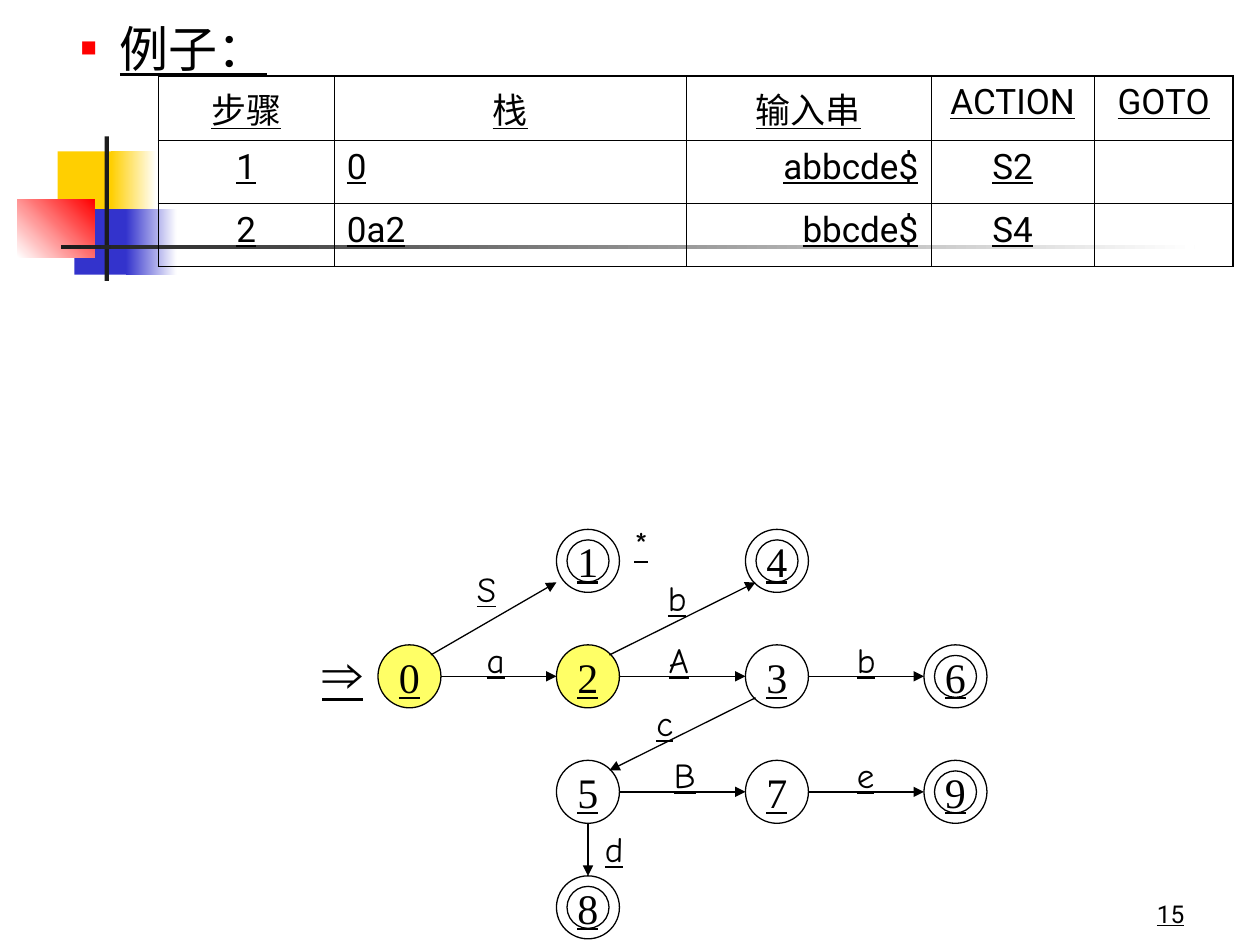
from lxml.etree import SubElement
from pptx import Presentation
from pptx.dml.color import RGBColor
from pptx.enum.shapes import MSO_CONNECTOR, MSO_SHAPE
from pptx.enum.text import MSO_ANCHOR, MSO_AUTO_SIZE, PP_ALIGN
from pptx.oxml.ns import qn
from pptx.util import Pt

BLACK = RGBColor(0, 0, 0)
WHITE = RGBColor(255, 255, 255)
DARK = RGBColor(0x1C, 0x1C, 0x1C)
GOLD = RGBColor(0xFF, 0xCF, 0x01)
BLUE = RGBColor(0x33, 0x33, 0xCC)
RED = RGBColor(255, 0, 0)
YELLOW = RGBColor(0xFF, 0xFF, 0x66)
LEFT, CENTER, RIGHT = PP_ALIGN.LEFT, PP_ALIGN.CENTER, PP_ALIGN.RIGHT

# Background bars: left, top, width, height, colours, gradient angle
DECOR = [
    (33, 86.5, 34.5, 37.5, [GOLD], 0),
    (63.5, 86.5, 26, 37.5, [GOLD, WHITE], 0),
    (42.5, 119.5, 33, 37.5, [BLUE], 0),
    (72, 119.5, 29, 37.5, [BLUE, WHITE], 0),
    (10, 114, 44, 33, [WHITE, RED], 45),
    (59.75, 78, 2.5, 82.5, [DARK], 0),
    (34.75, 140, 648, 2.5, [DARK, WHITE], 0),
]

# Parse table
ROWS = [
    ("步骤", "栈", "输入串", "ACTION", "GOTO"),
    ("1", "0", "abbcde$", "S2", ""),
    ("2", "0a2", "bbcde$", "S4", ""),
]
COL_WIDTHS = (100.5, 201, 140, 93.5, 79)
ROW_HEIGHTS = (36.5, 36, 36)
ROW_HEIGHTS = (36.75, 36, 36)
BODY_ALIGN = (CENTER, LEFT, RIGHT, CENTER, CENTER)

# Automaton: state -> (grid column, grid row)
COL_X = (234, 336, 444, 546)
ROW_Y = [320.5 + 66 * i for i in range(4)]
RADIUS = 18
STATES = {"0": (0, 1), "1": (1, 0), "4": (2, 0), "2": (1, 1), "3": (2, 1),
          "5": (1, 2), "7": (2, 2), "6": (3, 1), "9": (3, 2), "8": (1, 3)}
ACCEPTING = "14698"
VISITED = "02"

# Points on a state circle, in units of its radius
E, W, N, S = (1, 0), (-1, 0), (0, -1), (0, 1)
NE, SW = (0.68, -0.68), (-0.68, 0.68)
EDGES = [("0", E, "2", W), ("2", E, "3", W), ("3", E, "6", W),
         ("5", E, "7", W), ("7", E, "9", W), ("0", NE, "1", (-1, 0.68)),
         ("2", NE, "4", SW), ("3", SW, "5", NE), ("5", S, "8", N)]
LABELS = [("S", 265.5, 320.5), ("a", 271, 361.5), ("b", 374.5, 326),
          ("A", 375, 361.5), ("b", 482.5, 361.5), ("c", 368, 397.5),
          ("B", 378, 427), ("e", 482.5, 427), ("d", 338.5, 469.5),
          ("*", 355.5, 295)]


def set_text(tf, text, size, font, align=LEFT):
    tf.text = text
    p = tf.paragraphs[0]
    p.alignment = align
    for r in p.runs:
        r.font.size = Pt(size)
        r.font.name = font
        r.font.underline = True
        r.font.color.rgb = BLACK
    return p


def add_text(s, text, x, y, w, h, size, font, align=LEFT, wrap=False):
    tf = s.shapes.add_textbox(Pt(x), Pt(y), Pt(w), Pt(h)).text_frame
    tf.word_wrap = wrap
    tf.auto_size = MSO_AUTO_SIZE.NONE if wrap else MSO_AUTO_SIZE.SHAPE_TO_FIT_TEXT
    set_text(tf, text, size, font, align)
    return tf


def add_bar(s, x, y, w, h, colors, angle):
    sp = s.shapes.add_shape(MSO_SHAPE.RECTANGLE, Pt(x), Pt(y), Pt(w), Pt(h))
    sp.shadow.inherit = False
    sp.line.fill.background()
    if len(colors) == 1:
        sp.fill.solid()
        sp.fill.fore_color.rgb = colors[0]
        return
    sp.fill.gradient()
    sp.fill.gradient_angle = angle
    for stop, color, position in zip(sp.fill.gradient_stops, colors, (0, 1)):
        stop.color.rgb = color
        stop.position = position


def add_heading(s, text):
    tf = add_text(s, text, 3, 3.5, 204.5, 39.5, 28, "Roboto", wrap=True)
    p = tf.paragraphs[0]
    p.line_spacing = 1.1
    pPr = p._p.get_or_add_pPr()
    pPr.set("marL", str(Pt(58.5)))
    pPr.set("indent", str(-Pt(22.5)))
    color = SubElement(pPr, qn("a:buClr"))
    SubElement(color, qn("a:srgbClr"), val=str(RED))
    SubElement(pPr, qn("a:buSzPct"), val="55000")
    SubElement(pPr, qn("a:buFont"), typeface="Arial")
    SubElement(pPr, qn("a:buChar"), char="■")


def set_border(cell, side, width):
    ln = SubElement(cell._tc.get_or_add_tcPr(), qn(f"a:ln{side}"), w=str(Pt(width)))
    fill = SubElement(ln, qn("a:solidFill"))
    SubElement(fill, qn("a:srgbClr"), val=str(BLACK))


def add_parse_table(s):
    n_rows, n_cols = len(ROWS), len(COL_WIDTHS)
    frame = s.shapes.add_table(n_rows, n_cols, Pt(90.5), Pt(43.5),
                               Pt(sum(COL_WIDTHS)), Pt(sum(ROW_HEIGHTS)))
    table = frame.table
    table.first_row = table.horz_banding = False
    for column, width in zip(table.columns, COL_WIDTHS):
        column.width = Pt(width)
    for i, (row, height) in enumerate(zip(table.rows, ROW_HEIGHTS)):
        row.height = Pt(height)
        for j, cell in enumerate(row.cells):
            align = BODY_ALIGN[j] if i else CENTER
            p = set_text(cell.text_frame, ROWS[i][j], 20, "Roboto", align)
            p.space_before = Pt(5)
            outer = {"L": j == 0, "R": j == n_cols - 1,
                     "T": i == 0, "B": i == n_rows - 1}
            for side, is_outer in outer.items():
                set_border(cell, side, 1.08 if is_outer else 0.45)
            cell.fill.background()


def add_circle(s, cx, cy, radius, fill=None):
    sp = s.shapes.add_shape(MSO_SHAPE.OVAL, Pt(cx - radius), Pt(cy - radius),
                            Pt(2 * radius), Pt(2 * radius))
    sp.shadow.inherit = False
    sp.line.color.rgb = BLACK
    sp.line.width = Pt(0.75)
    if fill is None:
        sp.fill.background()
    else:
        sp.fill.solid()
        sp.fill.fore_color.rgb = fill
    return sp


def state_point(state, direction=(0, 0)):
    col, row = STATES[state]
    return COL_X[col] + RADIUS * direction[0], ROW_Y[row] + RADIUS * direction[1]


def add_state(s, state):
    cx, cy = state_point(state)
    sp = add_circle(s, cx, cy, RADIUS, YELLOW if state in VISITED else None)
    tf = sp.text_frame
    tf.word_wrap = False
    tf.vertical_anchor = MSO_ANCHOR.MIDDLE
    set_text(tf, state, 24, "Times New Roman", CENTER)
    if state in ACCEPTING:
        add_circle(s, cx, cy, 12)


def add_edge(s, start, start_side, end, end_side):
    x1, y1 = state_point(start, start_side)
    x2, y2 = state_point(end, end_side)
    line = s.shapes.add_connector(MSO_CONNECTOR.STRAIGHT, Pt(x1), Pt(y1), Pt(x2), Pt(y2))
    line.line.color.rgb = BLACK
    line.line.width = Pt(0.75)
    SubElement(line.line._get_or_add_ln(), qn("a:tailEnd"), type="triangle")
    SubElement(line._element.spPr, qn("a:effectLst"))


def main():
    prs = Presentation()
    prs.slide_width, prs.slide_height = Pt(720), Pt(540)
    s = prs.slides.add_slide(prs.slide_layouts[6])

    # Background, page number, heading and table
    for bar in DECOR:
        add_bar(s, *bar)
    tf = add_text(s, "15", 534, 498, 150, 36, 14, "Roboto", RIGHT, wrap=True)
    tf.vertical_anchor = MSO_ANCHOR.BOTTOM
    add_heading(s, "例子：")
    add_parse_table(s)

    # Automaton
    for state in STATES:
        add_state(s, state)
    for edge in EDGES:
        add_edge(s, *edge)
    for text, x, y in LABELS:
        add_text(s, text, x, y, 25, 31.5, 20, "Comic Neue")
    add_text(s, "⇒", 177, 360.5, 39.5, 46, 32, "Arial")

    prs.save("out.pptx")


if __name__ == "__main__":
    main()
